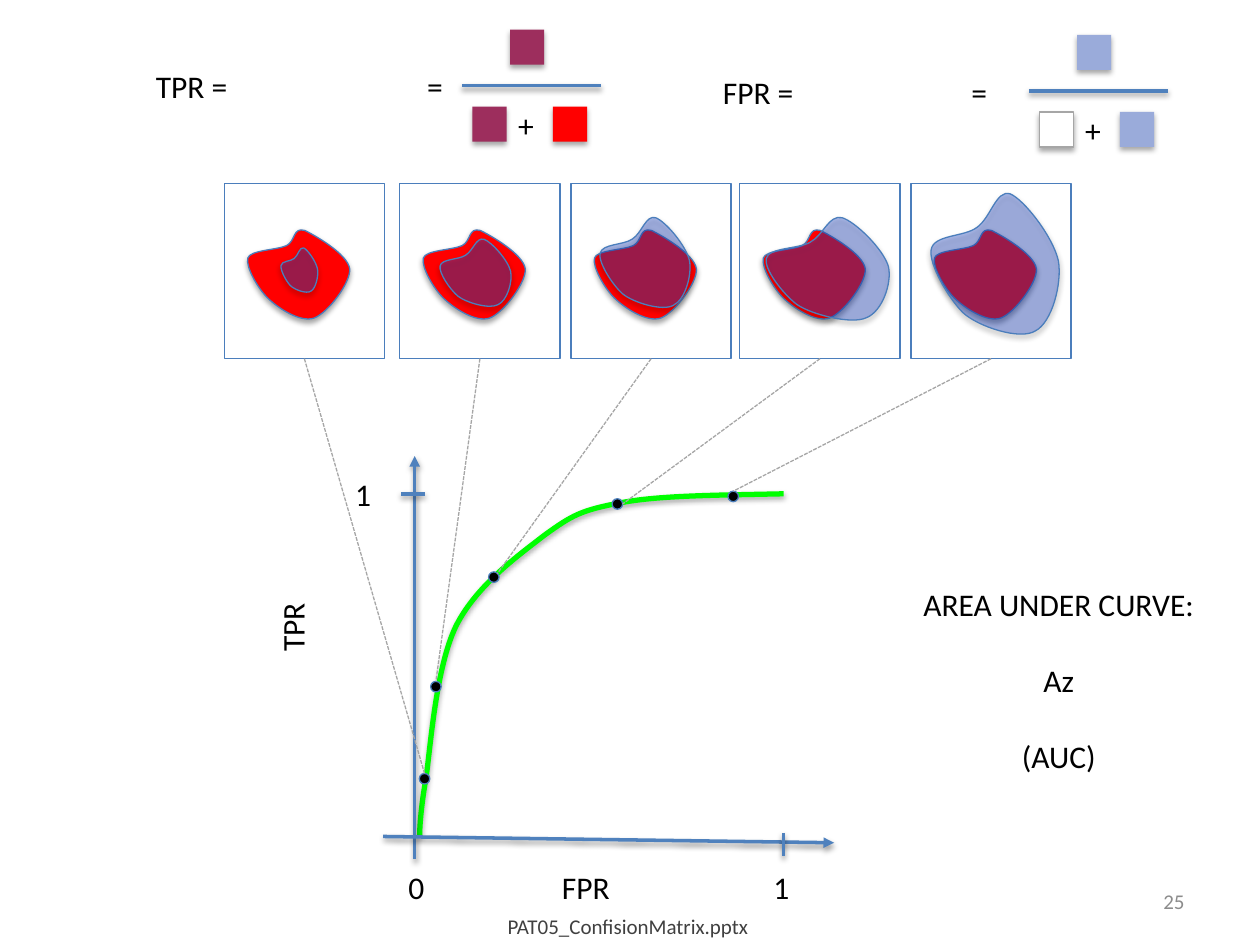
import pptx
import pptx.dml.color
import pptx.enum.dml
import pptx.enum.shapes
import pptx.enum.text
import pptx.oxml
import pptx.oxml.ns
import pptx.util
from lxml import etree

Pt = pptx.util.Pt
Align = pptx.enum.text.PP_ALIGN
Shape = pptx.enum.shapes.MSO_SHAPE
qn = pptx.oxml.ns.qn
NAMESPACE = pptx.oxml.ns.nsdecls("a")

AXIS, OUTLINE, GREY = "4F81BD", "4B7EBC", "A6A6A6"
RED, OVERLAP, FALSE_POSITIVE = "FF0000", "9D2E5D", "9AABDA"
LESION = [(.38, .18), (.47, .13), (.44, -.03), (.56, .01), (.65, .06), (.98, .27), (1, .44),
          (1.01, .59), (.79, .93), (.65, .99), (.52, 1.04), (.31, .89), (.2, .77),
          (.1, .66), (-.02, .42), (0, .32), (.02, .23), (.28, .23), (.38, .18)]
DETECTION = [(.36, .24), (.47, .17), (.51, -.03), (.62, 0), (.73, .04), (.96, .31), (1, .48),
             (1.03, .64), (.95, .92), (.82, .98), (.7, 1.05), (.37, .95), (.25, .85),
             (.13, .74), (-.02, .5), (0, .4), (.02, .29), (.26, .31), (.36, .24)]
ROC = [(447.8, 282.2), (412.6, 283), (377.3, 283), (355, 287.3), (331.9, 291.6),
       (326.9, 294.5), (311, 306), (295.2, 318.2), (272.2, 334.8), (260.6, 357.8),
       (249.1, 381.6), (246.2, 425.5), (243.4, 445), (239.8, 465.1), (239.8, 477.4), (239.8, 477.4)]


def color(value):
    """Turn a hex string into a colour."""
    return pptx.dml.color.RGBColor.from_string(value)


def set_shadow(shape, visible, opacity=35):
    """Give a shape a soft shadow below it, or none."""
    properties = shape._element.spPr
    for old in properties.findall(qn("a:effectLst")):
        properties.remove(old)
    effects = etree.SubElement(properties, qn("a:effectLst"))
    if visible:
        effects.append(pptx.oxml.parse_xml(
            f'<a:outerShdw {NAMESPACE} blurRad="{Pt(3.1)}" dist="{Pt(1.8)}" dir="5400000" '
            f'rotWithShape="0"><a:srgbClr val="000000"><a:alpha val="{opacity * 1000}"/>'
            '</a:srgbClr></a:outerShdw>'))


def paint(shape, fill, line, width=0.75, shadow=False):
    """Set the fill, outline and shadow of a shape."""
    if fill:
        shape.fill.solid()
        shape.fill.fore_color.rgb = color(fill)
    else:
        shape.fill.background()
    if line:
        shape.line.color.rgb = color(line)
        shape.line.width = Pt(width)
    else:
        shape.line.fill.background()
    set_shadow(shape, shadow)


def add_preset(slide, kind, box, fill, line=None, shadow=False):
    """Add a painted preset shape in the given box."""
    shape = slide.shapes.add_shape(kind, *map(Pt, box))
    paint(shape, fill, line, shadow=shadow)
    return shape


def add_text(slide, box, lines, size=18, ink="000000", align=Align.LEFT, gap=0):
    """Add a text box with one paragraph for each line."""
    shape = slide.shapes.add_textbox(*map(Pt, box))
    frame = shape.text_frame
    frame.word_wrap = True
    frame.text = "\n".join(lines)
    for index, paragraph in enumerate(frame.paragraphs):
        paragraph.alignment = align
        paragraph.space_before = Pt(gap if index else 0)
        paragraph.font.size = Pt(size)
        paragraph.font.name = "Calibri"
        paragraph.font.color.rgb = color(ink)
    return shape


def add_line(slide, start, end, ink=AXIS, width=2, arrow=False, shadow=True):
    """Add a straight connector, with an arrowhead at its end if asked."""
    line = slide.shapes.add_connector(
        pptx.enum.shapes.MSO_CONNECTOR.STRAIGHT, *map(Pt, (*start, *end)))
    line.line.color.rgb = color(ink)
    line.line.width = Pt(width)
    if arrow:
        etree.SubElement(line.line._get_or_add_ln(), qn("a:tailEnd"), type="triangle")
    set_shadow(line, shadow, 38)
    return line


def add_curve(slide, points, closed):
    """Add a freeform whose points after the first are cubic triples."""
    points = [(Pt(x), Pt(y)) for x, y in points]
    builder = slide.shapes.build_freeform(*points[0])
    builder.add_line_segments(points[1:], close=closed)
    shape = builder.convert_to_shape()
    outline = shape._element.find(".//" + qn("a:path"))
    segments = outline.findall(qn("a:lnTo"))
    for index in range(0, len(segments), 3):
        cubic = etree.Element(qn("a:cubicBezTo"))
        segments[index].addprevious(cubic)
        for segment in segments[index:index + 3]:
            cubic.append(segment[0])
            outline.remove(segment)
    return shape


def add_blob(slide, box, outline, fill, opacity=100):
    """Fit a unit outline to a box as a closed, shaded region."""
    left, top, width, height = box
    blob = add_curve(slide, [(left + x * width, top + y * height) for x, y in outline], True)
    paint(blob, fill, OUTLINE, shadow=True)
    fill_color = blob._element.spPr.find(qn("a:solidFill"))[0]
    etree.SubElement(fill_color, qn("a:alpha"), val=str(opacity * 1000))


def add_rate(slide, left, top, name, equals, numerator, first, second):
    """Place a rate formula around the fraction bar that starts at left, top."""
    add_text(slide, (left - 182, top - 14, 75, 29), [f"{name} ="])
    add_text(slide, (left - equals - 7, top - 14, 30, 29), ["="])
    add_line(slide, (left, top), (left + 79.5, top))
    for x, y, fill in ((6, 12, first), (52, 12, second), (27.5, -32, numerator)):
        add_preset(slide, Shape.RECTANGLE, (left + x, top + y, 19.5, 20), fill,
                   GREY if fill == "FFFFFF" else None, True)
    add_text(slide, (left + 25, top + 8, 24, 29), ["+"])


def add_axes(slide, left, top, right, bottom):
    """Draw the axes, their unit marks and their labels."""
    add_line(slide, (left, bottom + 13), (left, top), arrow=True)
    add_line(slide, (left - 18, bottom), (right, bottom + 3.6), arrow=True)
    add_line(slide, (447.8, bottom - 2), (447.8, bottom + 11))
    add_line(slide, (left + 6, 282.2), (left - 8, 282.2))
    add_text(slide, (left - 100, 344, 60, 29), ["TPR"], align=Align.CENTER).rotation = 270
    add_text(slide, (314, 492.5, 75, 29), ["FPR"])
    for x, y, label in ((238, 492.5, "0"), (446.5, 492.5, "1"), (207.5, 268, "1")):
        add_text(slide, (x - 15, y, 30, 29), [label], align=Align.CENTER)


def add_panel(slide, left, top, detection, point, link):
    """Draw one detection panel and join it to its point on the curve."""
    frame = add_preset(slide, Shape.RECTANGLE, (left, top, 91.5, 100), "FFFFFF", OUTLINE)
    add_blob(slide, (left + 13.4, top + 26.2, 58.3, 51.1), LESION, RED)
    x, y, width, height = detection
    add_blob(slide, (left + x, top + y, width, height), DETECTION, "2249CD", 36)
    x, y = point
    add_preset(slide, Shape.OVAL, (x - 3, y - 3, 6, 6), "000000", OUTLINE)
    leader = add_line(slide, (left, top), (x + link[0], y + link[1]), GREY, 0.75, shadow=False)
    leader.line.dash_style = pptx.enum.dml.MSO_LINE.SQUARE_DOT
    leader.begin_connect(frame, 2)


def main():
    """Build the slide and save it."""
    presentation = pptx.Presentation()
    presentation.slide_width, presentation.slide_height = Pt(720), Pt(540)
    slide = presentation.slides.add_slide(presentation.slide_layouts[6])
    paint(add_curve(slide, ROC, False), None, "00FF00", 3, True)
    add_rate(slide, 588, 52, "FPR", 33, FALSE_POSITIVE, "FFFFFF", FALSE_POSITIVE)
    add_rate(slide, 264, 49, "TPR", 20, OVERLAP, OVERLAP, RED)
    add_axes(slide, 237, 260.6, 476.6, 478)
    panels = [
        (128.2, (32.4, 36.7, 20.9, 25.2), (242.6, 445), (0, -3)),
        (228.5, (23, 31.7, 40.3, 38.2), (249.1, 392.4), (0, -3)),
        (326.3, (16.6, 19.4, 51.1, 51.1), (282.2, 329.8), (2, -2)),
        (422.8, (15.1, 19.4, 69.8, 58.3), (352.8, 288), (3, 0)),
        (520.6, (11.5, 5.8, 72.7, 79.9), (419, 283.7), (0, -3)),
    ]
    for left, detection, point, link in panels:
        add_panel(slide, left, 105, detection, point, link)
    add_text(slide, (515, 330.5, 180, 117), ["AREA UNDER CURVE:", "Az", "(AUC)"],
             align=Align.CENTER, gap=22)
    number = add_text(slide, (516, 500.5, 168, 29), ["25"], 12, "8C8C8C", Align.RIGHT)
    number.text_frame.vertical_anchor = pptx.enum.text.MSO_ANCHOR.MIDDLE
    add_text(slide, (283, 518.5, 160, 22), ["PAT05_ConfisionMatrix.pptx"], 12, "404040")
    presentation.save("out.pptx")


if __name__ == "__main__":
    main()
